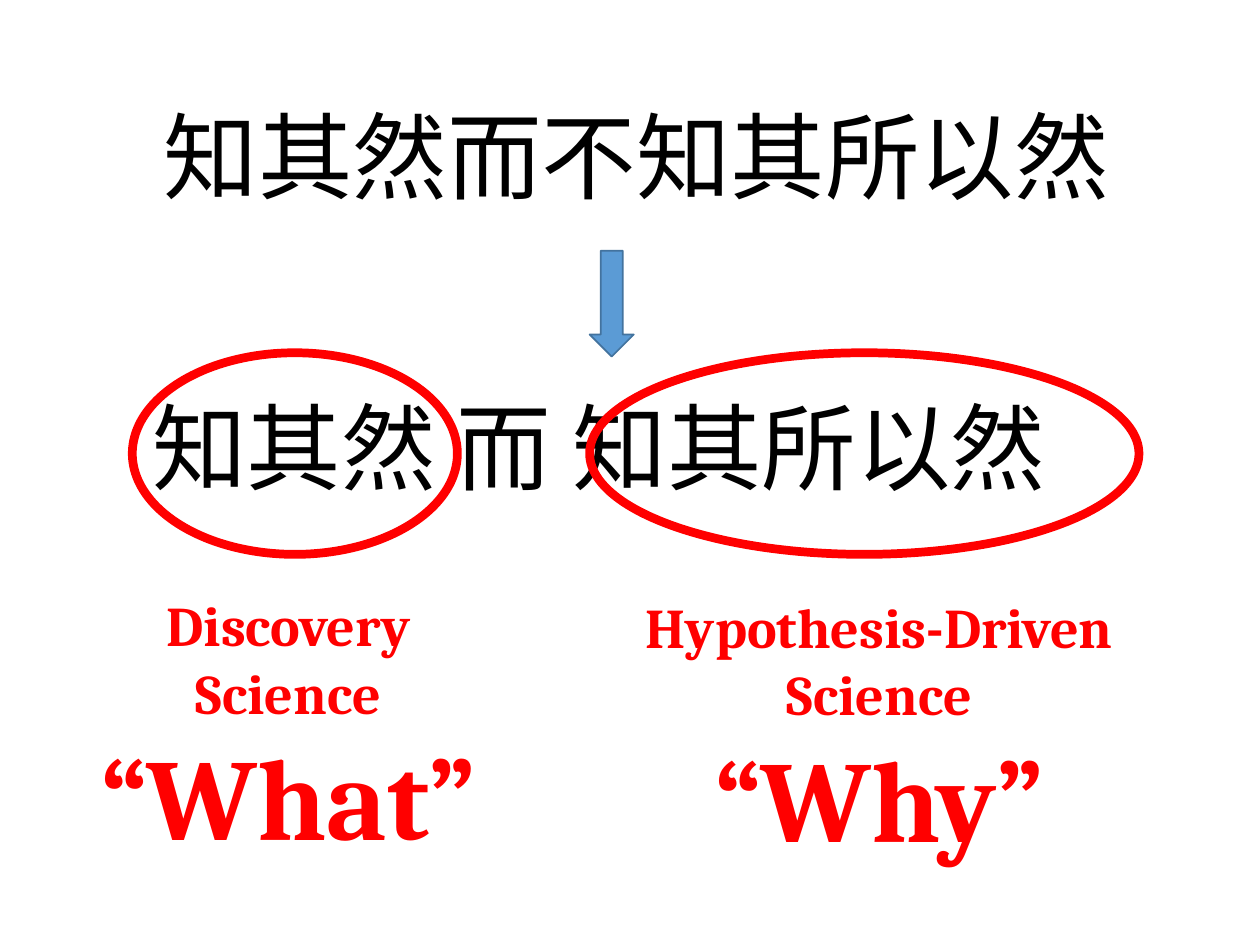
from dataclasses import dataclass

from lxml import etree
from pptx import Presentation
from pptx.dml.color import RGBColor
from pptx.enum import shapes, text
from pptx.oxml.ns import qn
from pptx.util import Inches, Pt


@dataclass(frozen=True)
class Theme:
    black: str = "000000"
    red: str = "FF0000"
    blue: str = "5B9BD5"
    dark_blue: str = "43739E"
    chinese_font: str = "Noto Sans CJK SC"
    english_font: str = "Cambria"
    phrase_size: int = 54
    label_size: int = 32
    question_size: int = 66


class SlideBuilder:
    """Draws styled elements on one slide."""

    def __init__(self, slide, theme):
        self.slide = slide
        self.theme = theme

    def add_text(self, box, lines, font, color, bold=False, align=text.PP_ALIGN.LEFT):
        frame = self.slide.shapes.add_textbox(*map(Inches, box)).text_frame
        frame.word_wrap = False
        frame.auto_size = text.MSO_AUTO_SIZE.SHAPE_TO_FIT_TEXT
        for index, (wording, size) in enumerate(lines):
            paragraph = frame.add_paragraph() if index else frame.paragraphs[0]
            paragraph.alignment = align
            run = paragraph.add_run()
            run.text = wording
            run.font.name = font
            run.font.size = Pt(size)
            run.font.bold = bold
            run.font.color.rgb = RGBColor.from_string(color)
            properties = run.font._element
            etree.SubElement(properties, qn("a:ea")).set("typeface", font)

    def add_phrase(self, box, wording):
        theme = self.theme
        self.add_text(box, [(wording, theme.phrase_size)], theme.chinese_font, theme.black)

    def add_label(self, box, approach, question):
        theme = self.theme
        lines = [
            (approach, theme.label_size),
            ("Science", theme.label_size),
            (question, theme.question_size),
        ]
        self.add_text(box, lines, theme.english_font, theme.red, True, text.PP_ALIGN.CENTER)

    def add_shape(self, kind, box, line, width, fill=None):
        shape = self.slide.shapes.add_shape(kind, *map(Inches, box))
        shape.shadow.inherit = False
        if fill:
            shape.fill.solid()
            shape.fill.fore_color.rgb = RGBColor.from_string(fill)
        else:
            shape.fill.background()
        shape.line.color.rgb = RGBColor.from_string(line)
        shape.line.width = Pt(width)

    def add_down_arrow(self, box):
        kind = shapes.MSO_SHAPE.DOWN_ARROW
        self.add_shape(kind, box, self.theme.dark_blue, 1, self.theme.blue)

    def add_ring(self, box):
        self.add_shape(shapes.MSO_SHAPE.OVAL, box, self.theme.red, 5)


def main():
    presentation = Presentation()
    presentation.slide_width = Inches(10)
    presentation.slide_height = Inches(7.5)
    slide = presentation.slides.add_slide(presentation.slide_layouts[6])
    builder = SlideBuilder(slide, Theme())

    builder.add_phrase((1.2, 0.73, 7.78, 1.01), "知其然而不知其所以然")
    builder.add_phrase((1.11, 3.04, 7.78, 1.01), "知其然 而 知其所以然")
    builder.add_down_arrow((4.68, 1.99, 0.35, 0.84))
    for left, width in ((1.05, 2.58), (4.68, 4.36)):
        builder.add_ring((left, 2.8, width, 1.6))
    builder.add_label((0.68, 4.64, 3.22, 2.29), "Discovery", "“What”")
    builder.add_label((4.95, 4.65, 4.06, 2.29), "Hypothesis-Driven", "“Why”")

    presentation.save("out.pptx")


if __name__ == "__main__":
    main()
